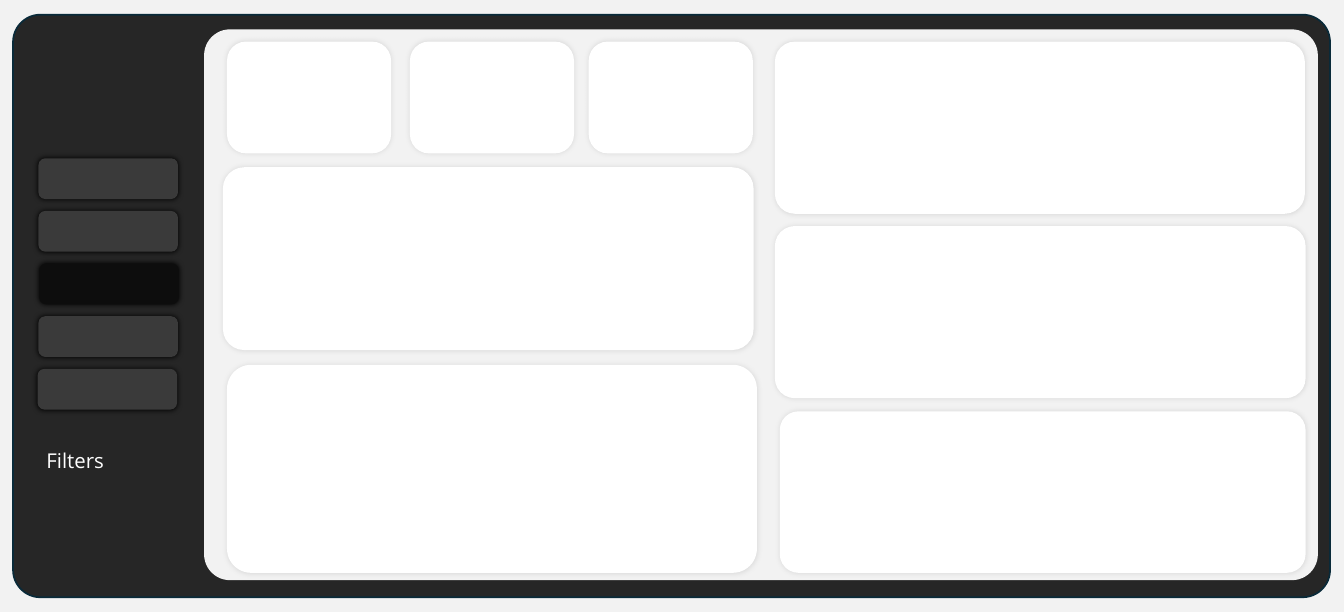
"""Build a dashboard layout with a dark filter sidebar and white cards."""
from dataclasses import dataclass

from lxml.etree import SubElement
from pptx import Presentation
from pptx.dml.color import RGBColor
from pptx.enum.shapes import MSO_SHAPE
from pptx.enum.text import MSO_AUTO_SIZE
from pptx.oxml.ns import qn
from pptx.shapes.autoshape import Shape
from pptx.slide import Slide
from pptx.util import Inches, Pt


@dataclass(frozen=True)
class Theme:
    """Colours, type and shadow sizes of the dashboard."""
    canvas: str = "F2F2F2"
    frame: str = "262626"
    frame_edge: str = "092A39"
    card: str = "FFFFFF"
    button: str = "3A3A3A"
    active_button: str = "0D0D0D"
    shadow: str = "000000"
    label: str = "FFFFFF"
    font: str = "Open Sans"
    label_size: Pt = Pt(18)
    edge_width: Pt = Pt(1.5)
    shadow_blur: Pt = Pt(5)


@dataclass(frozen=True)
class Panel:
    """A filled panel, in inches, with optional rounding and shadow opacity."""
    left: float
    top: float
    width: float
    height: float
    fill: str
    rounding: float = 0.17
    shadow_percent: int = 0
    edge: str = ""


THEME = Theme()
SLIDE_WIDTH, SLIDE_HEIGHT = 16.46, 7.5
BUTTON_TOP, BUTTON_STEP = 1.94, 0.645
BUTTON_LEFTS = (0.47, 0.47, 0.48, 0.47, 0.46)
ACTIVE_BUTTON = 2
METRIC_LEFTS = (2.78, 5.02, 7.21)
CHART_CARDS = (
    (9.49, 0.51, 6.49, 2.11),
    (9.49, 2.77, 6.5, 2.11),
    (2.78, 4.47, 6.49, 2.55),
    (9.55, 5.04, 6.44, 1.98),
    (2.73, 2.05, 6.5, 2.24),
)


def add_shadow(shape: Shape, percent: int) -> None:
    """Surround a shape with an even, soft shadow."""
    effects = shape._element.spPr.find(qn("a:effectLst"))
    shadow = SubElement(effects, qn("a:outerShdw"), blurRad=str(int(THEME.shadow_blur)),
                        dist="0", dir="0", algn="ctr", rotWithShape="0")
    color = SubElement(shadow, qn("a:srgbClr"), val=THEME.shadow)
    SubElement(color, qn("a:alpha"), val=str(percent * 1000))


def add_panel(page: Slide, panel: Panel) -> None:
    """Draw one panel."""
    kind = MSO_SHAPE.ROUNDED_RECTANGLE if panel.rounding else MSO_SHAPE.RECTANGLE
    shape = page.shapes.add_shape(kind, Inches(panel.left), Inches(panel.top),
                                  Inches(panel.width), Inches(panel.height))
    if panel.rounding:
        shape.adjustments[0] = panel.rounding
    shape.fill.solid()
    shape.fill.fore_color.rgb = RGBColor.from_string(panel.fill)
    if panel.edge:
        shape.line.color.rgb = RGBColor.from_string(panel.edge)
        shape.line.width = THEME.edge_width
    else:
        shape.line.fill.background()
    shape.shadow.inherit = False
    if panel.shadow_percent:
        add_shadow(shape, panel.shadow_percent)


def add_label(page: Slide, text: str, left: float, top: float, width: float, height: float) -> None:
    """Write a sidebar label."""
    box = page.shapes.add_textbox(Inches(left), Inches(top), Inches(width), Inches(height))
    box.text_frame.word_wrap = True
    box.text_frame.auto_size = MSO_AUTO_SIZE.SHAPE_TO_FIT_TEXT
    paragraph = box.text_frame.paragraphs[0]
    paragraph.text = text
    paragraph.font.name = THEME.font
    paragraph.font.size = THEME.label_size
    paragraph.font.color.rgb = RGBColor.from_string(THEME.label)


def dashboard_panels() -> list[Panel]:
    """List the panels from back to front."""
    backdrop = [
        Panel(0, 0, SLIDE_WIDTH, SLIDE_HEIGHT, THEME.canvas, rounding=0),
        Panel(0.16, 0.18, 16.13, 7.14, THEME.frame, 0.047, edge=THEME.frame_edge),
        Panel(2.5, 0.36, 13.64, 6.75, THEME.canvas, 0.047),
    ]
    metrics = [Panel(left, 0.51, 2.01, 1.37, THEME.card, shadow_percent=10)
               for left in METRIC_LEFTS]
    charts = [Panel(*place, THEME.card, 0.116, 10) for place in CHART_CARDS]
    buttons = [
        Panel(left, BUTTON_TOP + index * BUTTON_STEP, 1.71, 0.5,
              THEME.active_button if index == ACTIVE_BUTTON else THEME.button,
              shadow_percent=100)
        for index, left in enumerate(BUTTON_LEFTS)
    ]
    return backdrop + metrics + charts + buttons


def main() -> None:
    """Build and save the deck."""
    deck = Presentation()
    deck.slide_width, deck.slide_height = Inches(SLIDE_WIDTH), Inches(SLIDE_HEIGHT)
    page = deck.slides.add_slide(deck.slide_layouts[6])
    for panel in dashboard_panels():
        add_panel(page, panel)
    add_label(page, "Filters", 0.47, 5.44, 1.26, 0.4)
    deck.save("out.pptx")


if __name__ == "__main__":
    main()
